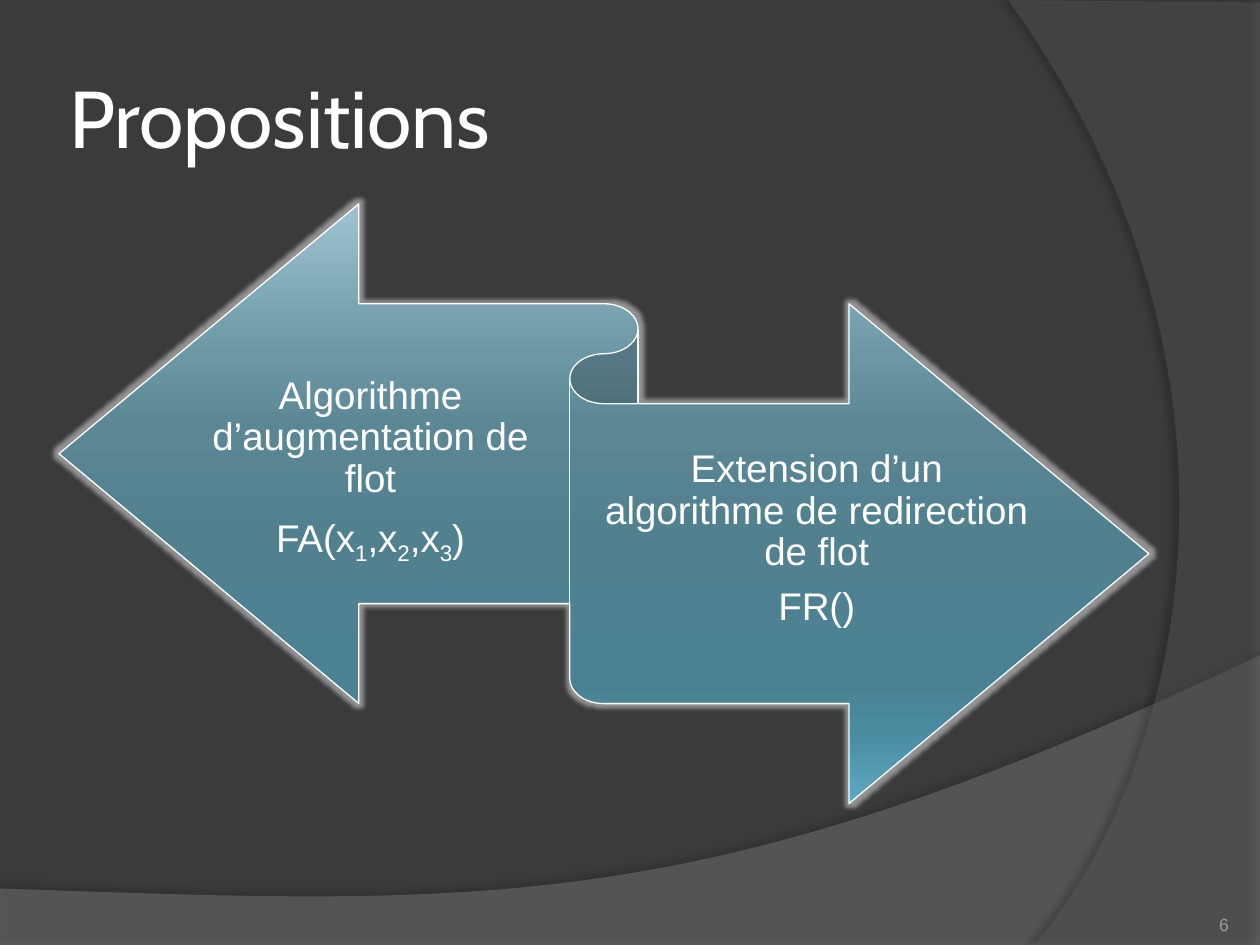
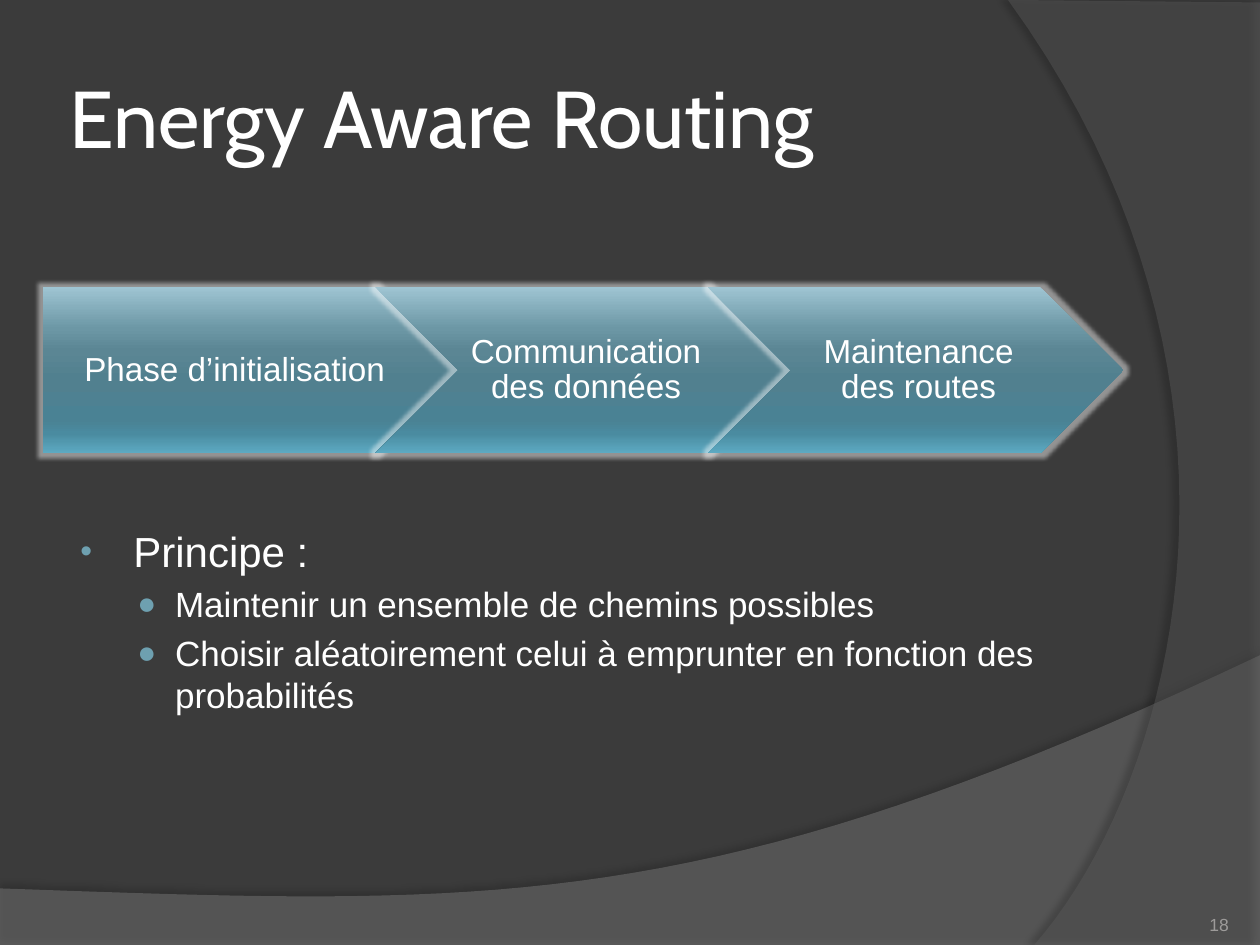
from lxml.etree import SubElement
from pptx import Presentation
from pptx.dml.color import RGBColor
from pptx.enum.shapes import MSO_SHAPE as Preset
from pptx.enum.text import MSO_ANCHOR as Anchor, PP_ALIGN as Align
from pptx.oxml.ns import qn
from pptx.util import Cm, Pt

BACKGROUND, WHITE, BULLET, PAGE_GREY = "3B3B3B", "FFFFFF", "6EA0B0", "9D9B9A"
BODY_FONT, TITLE_FONT = "Arial", "Cabin"
GLOSS = [(0, "9EC4D2"), (25, "6C97A5"), (38, "5B8694"), (55, "51808F"),
         (80, "4A8294"), (88, "4A8BA0"), (100, "5DAAC2")]
CURVE_STEPS = 40


def rgb(code):
    return RGBColor.from_string(code)


def add_node(parent, tag, **attributes):
    node = SubElement(parent, qn(tag))
    for key, value in attributes.items():
        node.set(key, str(value))
    return node


def add_color(parent, code, opacity=100):
    color = add_node(parent, "a:srgbClr", val=code)
    if opacity < 100:
        add_node(color, "a:alpha", val=opacity * 1000)


def add_effect(shape, tag, code, opacity, **attributes):
    shape.shadow.inherit = False
    effects = shape._element.spPr.find(qn("a:effectLst"))
    add_color(add_node(effects, tag, **attributes), code, opacity)


def bezier(start, control_1, control_2, end):
    """Return points along a cubic curve, without its start."""
    points = []
    for step in range(1, CURVE_STEPS + 1):
        t = step / CURVE_STEPS
        weights = ((1 - t) ** 3, 3 * t * (1 - t) ** 2, 3 * t * t * (1 - t), t ** 3)
        controls = (start, control_1, control_2, end)
        points.append(tuple(sum(w * c[axis] for w, c in zip(weights, controls))
                            for axis in (0, 1)))
    return points


def add_band(slide, corners, curve, color, opacity, shadow_opacity, distance, angle):
    """Draw a translucent area whose last side is a curve."""
    points = [(Cm(x), Cm(y)) for x, y in corners + bezier(corners[-1], *curve)]
    builder = slide.shapes.build_freeform(*points[0], scale=1.0)
    builder.add_line_segments(points[1:], close=True)
    band = builder.convert_to_shape()
    band.fill.solid()
    band.fill.fore_color.rgb = rgb(color)
    fill_color = band._element.spPr.find(qn("a:solidFill"))[0]
    add_node(fill_color, "a:alpha", val=opacity * 1000)
    band.line.fill.background()
    add_effect(band, "a:outerShdw", "000000", shadow_opacity, blurRad=Pt(4),
               dist=Pt(distance), dir=angle * 60000, algn="ctr", rotWithShape=0)


def style_font(font, size, color=WHITE, name=BODY_FONT):
    font.size, font.name = Pt(size), name
    font.color.rgb = rgb(color)


def set_frame(frame, anchor, margins):
    frame.word_wrap = True
    frame.vertical_anchor = anchor
    (frame.margin_left, frame.margin_top,
     frame.margin_right, frame.margin_bottom) = map(Cm, margins)


def next_paragraph(frame, index):
    return frame.add_paragraph() if index else frame.paragraphs[0]


def add_box(slide, place, anchor, margins):
    frame = slide.shapes.add_textbox(*map(Cm, place)).text_frame
    set_frame(frame, anchor, margins)
    return frame


def add_line_of_text(slide, text, place, anchor, margin, align, **style):
    paragraph = add_box(slide, place, anchor, [margin] * 4).paragraphs[0]
    paragraph.text, paragraph.alignment = text, align
    style_font(paragraph.font, **style)


def write_label(frame, lines, size):
    """Write centred lines; every second piece of a line is a subscript."""
    for index, pieces in enumerate(lines):
        paragraph = next_paragraph(frame, index)
        paragraph.alignment = Align.CENTER
        paragraph.line_spacing = 0.9
        paragraph.space_after = Pt(round(0.35 * size, 1))
        style_font(paragraph.font, size)
        for position, piece in enumerate(pieces):
            run = paragraph.add_run()
            run.text = piece
            if position % 2:
                run._r.get_or_add_rPr().set("baseline", "-25000")


def add_glossy_shape(slide, preset, place):
    shape = slide.shapes.add_shape(preset, *map(Cm, place))
    shape.fill.gradient()
    shape.fill.gradient_angle = 270
    stops = shape._element.spPr.find(qn("a:gradFill")).find(qn("a:gsLst"))
    for stop in list(stops):
        stops.remove(stop)
    for position, color in GLOSS:
        add_color(add_node(stops, "a:gs", pos=position * 1000), color)
    shape.line.fill.background()
    add_effect(shape, "a:glow", WHITE, 45, rad=Pt(5))
    return shape


def add_bullets(slide, place, items):
    frame = add_box(slide, place, Anchor.TOP, (0.25, 0.13, 0.25, 0.13))
    # level: indent, hanging, symbol, symbol percent, text size
    levels = [(1.17, 1.07, "•", 80, 24), (2.01, 0.76, "●", 90, 20)]
    for index, (level, text) in enumerate(items):
        indent, hanging, symbol, percent, size = levels[level]
        paragraph = next_paragraph(frame, index)
        paragraph.text, paragraph.level = text, level
        paragraph.space_before = Pt(0.2 * size)
        properties = paragraph._p.get_or_add_pPr()
        properties.set("marL", str(Cm(indent)))
        properties.set("indent", str(-Cm(hanging)))
        add_color(add_node(properties, "a:buClr"), BULLET)
        add_node(properties, "a:buSzPct", val=percent * 1000)
        add_node(properties, "a:buFont", typeface=BODY_FONT)
        add_node(properties, "a:buChar", char=symbol)
        style_font(paragraph.font, size)


def add_themed_slide(deck, title, page):
    slide = deck.slides.add_slide(deck.slide_layouts[6])
    slide.background.fill.solid()
    slide.background.fill.fore_color.rgb = rgb(BACKGROUND)
    add_band(slide, [(0, 17.91), (0, 19.08), (25.4, 19.08), (25.4, 13.21)],
             [(14.2, 18.52), (9.93, 18.26), (0, 17.91)],
             "7F7F7F", 45, shadow_opacity=35, distance=3.5, angle=270)
    add_band(slide, [(25.4, 0.05), (25.4, 19.05), (20.85, 19.05)],
             [(23.75, 15.72), (25.86, 7.62), (20.32, 0)],
             "5E5E5E", 40, shadow_opacity=45, distance=4, angle=180)
    add_line_of_text(slide, title, (1.27, 0.76, 20.75, 3.18), Anchor.MIDDLE, 0.13,
                     Align.LEFT, size=46, name=TITLE_FONT)
    add_line_of_text(slide, str(page), (22.66, 17.83, 2.11, 1.02), Anchor.BOTTOM, 0,
                     Align.RIGHT, size=10, color=PAGE_GREY)
    return slide


def add_propositions(deck):
    slide = add_themed_slide(deck, "Propositions", 6)
    ribbon = add_glossy_shape(slide, Preset.LEFT_RIGHT_RIBBON, (1.19, 4.11, 21.97, 12.09))
    ribbon.line.color.rgb = rgb(WHITE)
    ribbon.line.width = Pt(0.75)
    proposals = [
        ((3.84, 7.29, 7.26, 4.32),
         [["Algorithme d’augmentation de flot"],
          ["FA(x", "1", ",x", "2", ",x", "3", ")"]]),
        ((12.17, 8.71, 8.59, 4.32),
         [["Extension d’un algorithme de redirection de flot"], ["FR()"]]),
    ]
    for place, lines in proposals:
        write_label(add_box(slide, place, Anchor.MIDDLE, (0, 0.23, 0, 0.23)), lines, 22)


def add_energy_aware_routing(deck):
    slide = add_themed_slide(deck, "Energy Aware Routing", 18)
    phases = ["Phase d’initialisation", "Communication des données",
              "Maintenance des routes"]
    width, height = 8.38, 3.35
    for index, phase in enumerate(phases):
        preset, margin = (Preset.CHEVRON, 0.2) if index else (Preset.PENTAGON, 0.28)
        left = 0.86 + index * 0.8 * width
        step = add_glossy_shape(slide, preset, (left, 5.79, width, height))
        set_frame(step.text_frame, Anchor.MIDDLE, (margin, 0.15, 0.08, 0.15))
        write_label(step.text_frame, [[phase]], 19)
    add_bullets(slide, (1.27, 10.46, 20.75, 6.55), [
        (0, "Principe :"),
        (1, "Maintenir un ensemble de chemins possibles"),
        (1, "Choisir aléatoirement celui à emprunter en fonction des probabilités"),
    ])


def main():
    deck = Presentation()
    deck.slide_width, deck.slide_height = Cm(25.4), Cm(19.05)
    add_propositions(deck)
    add_energy_aware_routing(deck)
    deck.save("out.pptx")


if __name__ == "__main__":
    main()
